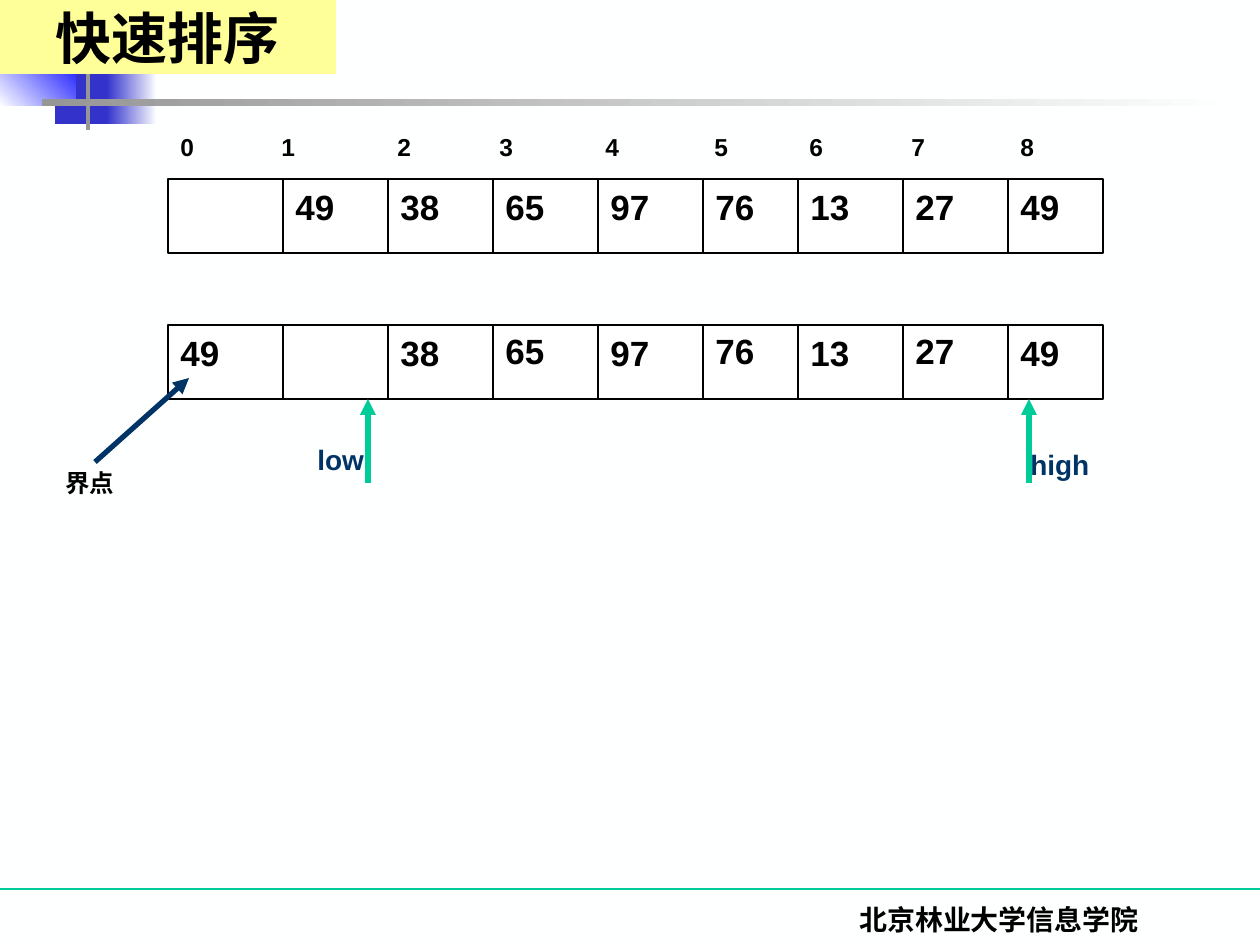
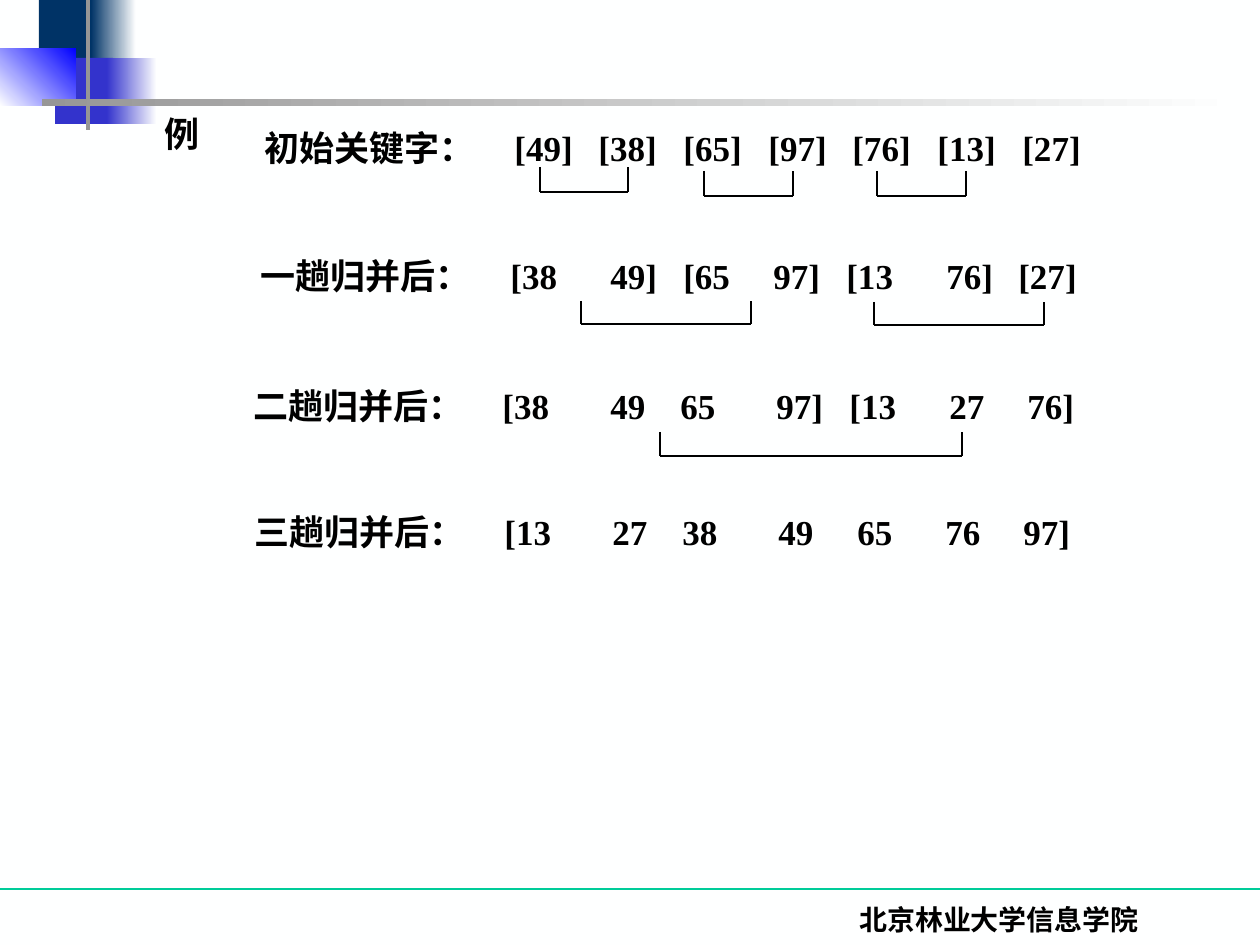
from lxml import etree
from pptx import Presentation
from pptx.dml.color import RGBColor
from pptx.enum.shapes import MSO_CONNECTOR, MSO_SHAPE
from pptx.enum.text import MSO_ANCHOR, PP_ALIGN
from pptx.oxml.ns import qn
from pptx.util import Pt

RECT = MSO_SHAPE.RECTANGLE
LINE = MSO_CONNECTOR.STRAIGHT
CENTER = PP_ALIGN.CENTER
MIDDLE = MSO_ANCHOR.MIDDLE
SCALE = 914400 / 126
WIDE, HIGH, INSET = 1260, 945, 13
SANS, SERIF = "Arial", "Times New Roman"

COLORS = {
    "paper": "FEFFFF", "white": "FFFFFF", "black": "000000", "navy": "003366",
    "indigo": "3333CC", "blue": "0000FF", "gray": "969696",
    "green": "00CC99", "yellow": "FFFF99",
}

FOOTER = "北京林业大学信息学院"
DECOR = [
    ((39, 0, 60, 66), ("navy",), 0),
    ((91, 0, 45, 66), ("navy", "paper"), 0),
    ((55, 58, 58, 66), ("indigo",), 0),
    ((107, 58, 50, 66), ("indigo", "paper"), 0),
    ((0, 48, 76, 58), ("paper", "blue"), 45),
    ((86, 0, 4, 130), ("gray",), 0),
    ((42, 99, 1198, 7), ("gray", "paper"), 0),
]

TITLE = "快速排序"
EDGES = [168, 283, 388, 493, 598, 703, 798, 903, 1008, 1103]
INDEX = [180, 282, 398, 500, 606, 715, 810, 912, 1021]
ARRAYS = [
    (179, 0, ["", "49", "38", "65", "97", "76", "13", "27", "49"]),
    (325, 2, ["49", "", "38", "65", "97", "76", "13", "27", "49"]),
]
MARKS = [
    ("low", "navy", 16, (305, 436, 116, 47)),
    ("high", "navy", 16, (1018, 441, 116, 47)),
    ("界点", "black", 14, (53, 462, 105, 43)),
]
ARROWS = [
    ((368, 483), (368, 399), "green"),
    ((1029, 483), (1029, 399), "green"),
    ((95, 462), (189, 378), "navy"),
]

SAMPLE = "例"
PASSES = [
    (252, 120, "初始关键字：",
     [("[49]", 515), ("[38]", 599), ("[65]", 684), ("[97]", 769),
      ("[76]", 853), ("[13]", 938), ("[27]", 1023)]),
    (248, 248, "一趟归并后：",
     [("[38", 511), ("49]", 611), ("[65", 684), ("97]", 774),
      ("[13", 847), ("76]", 947), ("[27]", 1019)]),
    (241, 378, "二趟归并后：",
     [("[38", 503), ("49", 611), ("65", 681), ("97]", 777),
      ("[13", 850), ("27", 950), ("76]", 1028)]),
    (242, 504, "三趟归并后：",
     [("[13", 505), ("27", 613), ("38", 683), ("49", 779),
      ("65", 858), ("76", 946), ("97]", 1024)]),
]
MERGES = [
    (540, 628, 167, 192), (704, 793, 171, 196), (877, 966, 171, 196),
    (581, 751, 301, 324), (874, 1044, 302, 325), (660, 962, 432, 456),
]


def px(*sizes):
    return [round(size * SCALE) for size in sizes]


def rgb(name):
    return RGBColor.from_string(COLORS[name])


def add_rect(slide, box, fills, angle=0, edge=None):
    shape = slide.shapes.add_shape(RECT, *px(*box))
    shape.shadow.inherit = False
    if len(fills) == 1:
        shape.fill.solid()
        shape.fill.fore_color.rgb = rgb(fills[0])
    else:
        shape.fill.gradient()
        shape.fill.gradient_angle = angle
        for stop, name in zip(shape.fill.gradient_stops, fills):
            stop.color.rgb = rgb(name)
    if edge:
        shape.line.color.rgb = rgb(edge)
        shape.line.width = Pt(0.75)
    else:
        shape.line.fill.background()
    return shape


def add_line(slide, start, end, color="black", width=0.75, arrow=False):
    line = slide.shapes.add_connector(LINE, *px(*start, *end))
    line.line.color.rgb = rgb(color)
    line.line.width = Pt(width)
    props = line._element.spPr
    if arrow:
        etree.SubElement(props.find(qn("a:ln")), qn("a:tailEnd"), type="triangle")
    etree.SubElement(props, qn("a:effectLst"))


def write(frame, text, size, face, color="black", align=None, tabs=()):
    frame.word_wrap = True
    para = frame.paragraphs[0]
    para.text = text
    if tabs:
        stops = etree.SubElement(para._p.get_or_add_pPr(), qn("a:tabLst"))
        for place in px(*tabs):
            etree.SubElement(stops, qn("a:tab"), pos=str(place), algn="l")
    if align is not None:
        para.alignment = align
    font = para.font
    font.size, font.name, font.bold = Pt(size), face, True
    font.color.rgb = rgb(color)


def add_text(slide, box, *args, **style):
    frame = slide.shapes.add_textbox(*px(*box)).text_frame
    write(frame, *args, **style)


def add_page(deck):
    slide = deck.slides.add_slide(deck.slide_layouts[6])
    add_line(slide, (0, 889), (WIDE, 889), "green")
    for box, fills, angle in DECOR:
        add_rect(slide, box, fills, angle)
    add_text(slide, (738, 896, 522, 49), FOOTER, 16, SERIF, align=CENTER)
    return slide


def draw_sort(slide):
    left, right, tall = EDGES[0], EDGES[-1], 74
    text = "\t".join(str(i) for i in range(len(INDEX)))
    tabs = [x - left - INSET for x in INDEX[1:]]
    add_text(slide, (left, 126, right - left, 43), text, 14, SANS, tabs=tabs)
    for top, lift, values in ARRAYS:
        add_rect(slide, (left, top, right - left, tall), ("white",), edge="black")
        for x in EDGES[1:-1]:
            add_line(slide, (x, top), (x, top + tall))
        for i, value in enumerate(values):
            if value:
                box = (EDGES[i], top - lift * (i % 2), 84, 55)
                add_text(slide, box, value, 20, SANS)
    for start, end, color in ARROWS:
        add_line(slide, start, end, color, 3, True)
    for text, color, size, box in MARKS:
        add_text(slide, box, text, size, SANS, color)
    frame = add_rect(slide, (0, 0, 336, 74), ("yellow",)).text_frame
    frame.vertical_anchor = MIDDLE
    write(frame, TITLE, 32, SERIF, align=CENTER)


def draw_merge(slide):
    add_text(slide, (152, 106, 61, 55), SAMPLE, 20, SERIF)
    for left, top, label, keys in PASSES:
        text = "\t".join([label] + [key for key, x in keys])
        tabs = [x - left - INSET for key, x in keys]
        add_text(slide, (left, top, 870, 55), text, 20, SERIF, tabs=tabs)
    for left, right, top, base in MERGES:
        points = [(left, top), (left, base), (right, base), (right, top)]
        for start, end in zip(points, points[1:]):
            add_line(slide, start, end)


def main():
    deck = Presentation()
    deck.slide_width, deck.slide_height = px(WIDE, HIGH)
    paper = deck.slide_master.background.fill
    paper.solid()
    paper.fore_color.rgb = rgb("paper")
    for draw in (draw_sort, draw_merge):
        draw(add_page(deck))
    deck.save("out.pptx")


if __name__ == "__main__":
    main()
